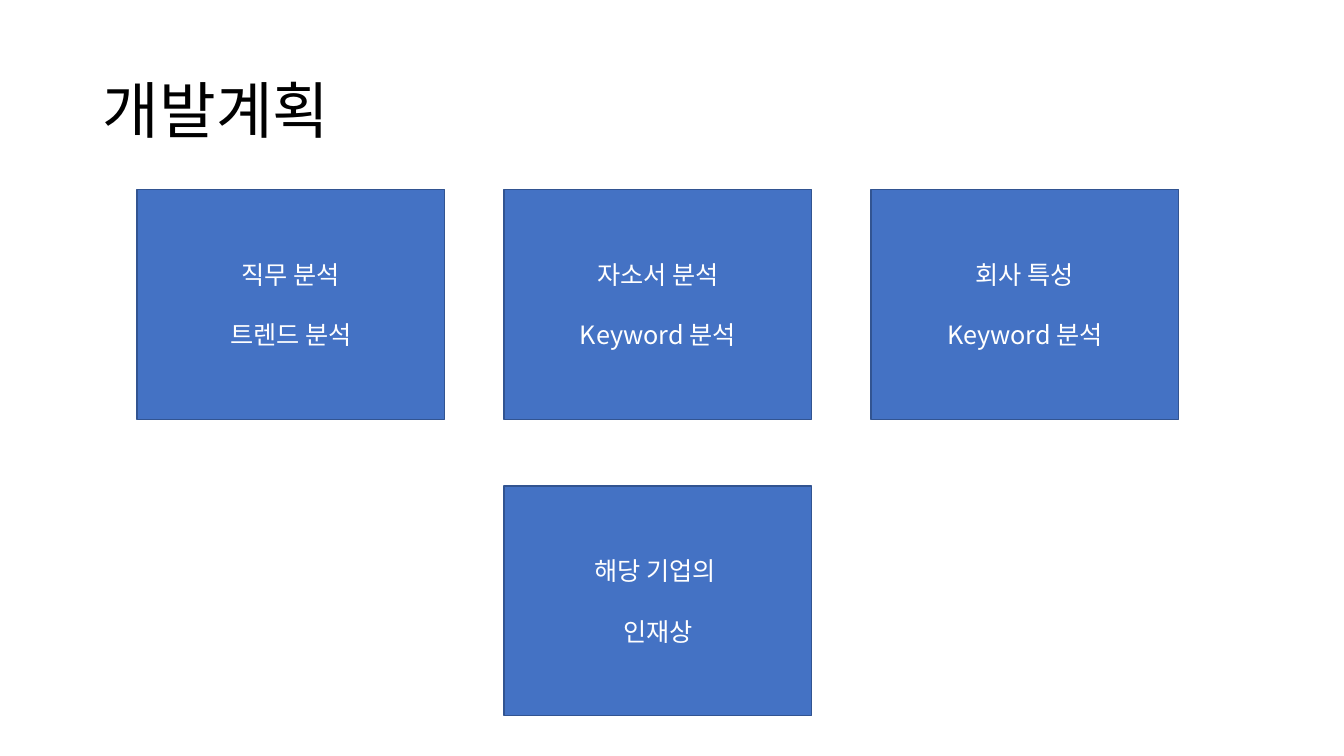
"""Build the development plan slide: a title and four topic boxes."""
import pptx
import pptx.util
import pptx.dml.color
import pptx.enum.shapes
import pptx.enum.text
import pptx.oxml.ns
import lxml.etree

Pt = pptx.util.Pt
Inches = pptx.util.Inches
Align = pptx.enum.text.PP_ALIGN


def color(code):
    return pptx.dml.color.RGBColor.from_string(code)


def write(frame, lines, font, size, ink, align, space=None, gap=0):
    frame.word_wrap = True
    frame.vertical_anchor = pptx.enum.text.MSO_ANCHOR.MIDDLE
    for i, line in enumerate(lines):
        para = frame.paragraphs[0] if i == 0 else frame.add_paragraph()
        para.alignment = align
        para.line_spacing = space
        para.space_before = Pt(gap if i else 0)
        run = para.add_run()
        run.text = line
        run.font.name = font
        run.font.size = Pt(size)
        run.font.color.rgb = color(ink)
        east = lxml.etree.SubElement(run.font._element, pptx.oxml.ns.qn("a:ea"))
        east.set("typeface", font)


class Board:
    font = "Noto Sans CJK KR"
    fill, edge, light, dark = "4472C4", "325491", "FFFFFF", "000000"
    left, top = 1.36, 1.88
    wide, high = 3.05, 2.28
    step, drop = 3.64, 2.94

    def __init__(self, slide):
        self.slide = slide

    def title(self, text):
        box = self.slide.shapes.add_textbox(
            Inches(0.92), Inches(0.4), Inches(11.5), Inches(1.45))
        write(box.text_frame, [text], self.font, 44, self.dark, Align.LEFT, space=0.9)

    def card(self, col, row, lines):
        box = self.slide.shapes.add_shape(
            pptx.enum.shapes.MSO_SHAPE.RECTANGLE,
            Inches(self.left + col * self.step), Inches(self.top + row * self.drop),
            Inches(self.wide), Inches(self.high))
        box.shadow.inherit = False
        box.fill.solid()
        box.fill.fore_color.rgb = color(self.fill)
        box.line.color.rgb = color(self.edge)
        box.line.width = Pt(1)
        write(box.text_frame, lines, self.font, 18, self.light, Align.CENTER,
              space=Pt(21.6), gap=21.6)


deck = pptx.Presentation()
deck.slide_width, deck.slide_height = Inches(13.33), Inches(7.5)
board = Board(deck.slides.add_slide(deck.slide_layouts[6]))

board.title("개발계획")
cards = [
    (2, 0, ["회사 특성", "Keyword 분석"]),
    (0, 0, ["직무 분석", "트렌드 분석"]),
    (1, 0, ["자소서 분석", "Keyword 분석"]),
    (1, 1, ["해당 기업의 ", "인재상"]),
]
for col, row, lines in cards:
    board.card(col, row, lines)

deck.save("out.pptx")
